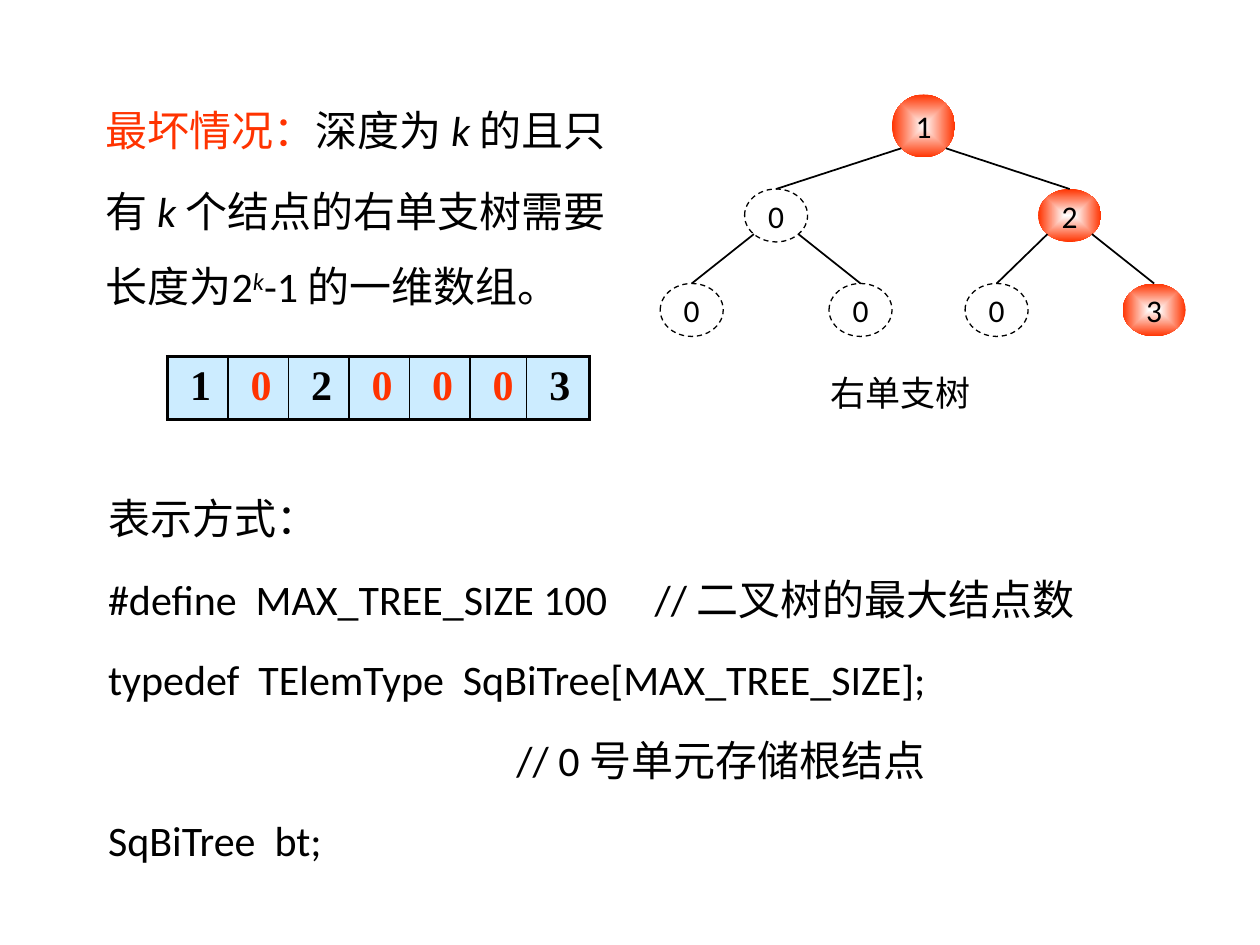
from dataclasses import dataclass
from math import sqrt

from lxml.etree import SubElement
from pptx import Presentation
from pptx.dml.color import RGBColor
from pptx.enum.dml import MSO_LINE
from pptx.enum.shapes import MSO_CONNECTOR, MSO_SHAPE
from pptx.enum.text import MSO_ANCHOR, MSO_AUTO_SIZE, PP_ALIGN
from pptx.oxml.ns import qn
from pptx.util import Pt

PX = 9144  # 100 px to the inch


@dataclass(frozen=True)
class Theme:
    black: str = "000000"
    white: str = "FFFFFF"
    red: str = "FF3300"
    pale_blue: str = "CCECFF"
    body_font: str = "Calibri"
    array_font: str = "Times New Roman"
    body_size: int = 24
    caption_size: int = 20
    node_size: int = 18
    line: float = 1
    dash: float = 0.75
    frame: float = 2.25


class SlideBuilder:
    def __init__(self, slide, theme):
        self.slide = slide
        self.shapes = slide.shapes
        self.theme = theme

    def run(self, paragraph, text, size, color=None, font=None, bold=None,
            italic=None, superscript=False):
        """Add text to a paragraph, turning each newline into a line break."""
        for index, line in enumerate(text.split("\n")):
            if index:
                paragraph.add_line_break()
            run = paragraph.add_run()
            run.text = line
            run.font.name = font or self.theme.body_font
            run.font.size = Pt(size)
            run.font.bold = bold
            run.font.italic = italic
            run.font.color.rgb = RGBColor.from_string(color or self.theme.black)
            if superscript:
                run.font._element.set("baseline", "30000")

    def text(self, box, paragraphs, size, wrap=False):
        """Add a text box; each paragraph is (line spacing, [(text, format)])."""
        frame = self.shapes.add_textbox(*(n * PX for n in box)).text_frame
        frame.word_wrap = wrap
        frame.auto_size = MSO_AUTO_SIZE.SHAPE_TO_FIT_TEXT
        for index, (spacing, runs) in enumerate(paragraphs):
            paragraph = frame.add_paragraph() if index else frame.paragraphs[0]
            paragraph.line_spacing = spacing
            for content, style in runs:
                self.run(paragraph, content, size, **style)

    def node(self, label, left, top, height, filled):
        """Add a tree node: red when it holds data, dashed when it is empty."""
        oval = self.shapes.add_shape(
            MSO_SHAPE.OVAL, left * PX, top * PX, 50 * PX, height * PX)
        oval.shadow.inherit = False
        if filled:
            self.radial_fill(oval.fill)
            oval.line.fill.background()
        else:
            oval.fill.background()
            oval.line.color.rgb = RGBColor.from_string(self.theme.black)
            oval.line.width = Pt(self.theme.dash)
            oval.line.dash_style = MSO_LINE.DASH
        frame = oval.text_frame
        frame.word_wrap = False
        frame.vertical_anchor = MSO_ANCHOR.MIDDLE
        frame.paragraphs[0].alignment = PP_ALIGN.CENTER
        self.run(frame.paragraphs[0], label, self.theme.node_size)
        return oval

    def radial_fill(self, fill):
        """White centre shading to a red rim."""
        fill.gradient()
        for stop, color in zip(fill.gradient_stops, (self.theme.white, self.theme.red)):
            stop.color.rgb = RGBColor.from_string(color)
        gradient = fill._fill._gradFill
        linear = gradient.find(qn("a:lin"))
        shading = SubElement(gradient, qn("a:path"), {"path": "shape"})
        SubElement(shading, qn("a:fillToRect"), dict.fromkeys("ltrb", "50000"))
        gradient.replace(linear, shading)

    def branch(self, parent, child):
        """Join the lower diagonal point of a parent to the top of its child."""
        side = 1 if child.left > parent.left else -1
        x = parent.left + parent.width / 2 * (1 + side / sqrt(2))
        y = parent.top + parent.height / 2 * (1 + 1 / sqrt(2))
        edge = self.shapes.add_connector(
            MSO_CONNECTOR.STRAIGHT, int(x), int(y), child.left + child.width // 2, child.top)
        edge.end_connect(child, 0)
        edge.line.color.rgb = RGBColor.from_string(self.theme.black)
        edge.line.width = Pt(self.theme.line)
        SubElement(edge._element.spPr, qn("a:effectLst"))

    def array(self, left, top, height, widths, values):
        """Add a one-row table with a heavy frame; zeros are red."""
        table = self.shapes.add_table(
            1, len(values), left * PX, top * PX, sum(widths) * PX, height * PX).table
        table.first_row = table.horz_banding = False
        table.rows[0].height = height * PX
        last = len(values) - 1
        for index, (width, value) in enumerate(zip(widths, values)):
            table.columns[index].width = width * PX
            cell = table.cell(0, index)
            cell.margin_left, cell.margin_right = 18 * PX, 5 * PX
            color = self.theme.red if value == "0" else self.theme.black
            self.run(cell.text_frame.paragraphs[0], value, self.theme.body_size,
                     color, self.theme.array_font, bold=True)
            frame, inner = self.theme.frame, self.theme.line
            self.borders(cell, {"L": inner if index else frame,
                                "R": inner if index < last else frame,
                                "T": frame, "B": frame})
            cell.fill.solid()
            cell.fill.fore_color.rgb = RGBColor.from_string(self.theme.pale_blue)

    def borders(self, cell, weights):
        properties = cell._tc.get_or_add_tcPr()
        for side, weight in weights.items():
            line = SubElement(properties, qn(f"a:ln{side}"), {"w": str(int(Pt(weight)))})
            solid = SubElement(line, qn("a:solidFill"))
            SubElement(solid, qn("a:srgbClr"), {"val": self.theme.black})


def main():
    presentation = Presentation()
    presentation.slide_width, presentation.slide_height = 1000 * PX, 750 * PX
    theme = Theme()
    slide = presentation.slides.add_slide(presentation.slide_layouts[6])
    builder = SlideBuilder(slide, theme)

    italic = {"italic": True}
    worst_case = [
        (1.5, [("最坏情况：", {"color": theme.red}), ("深度为 ", {}),
               ("k ", italic), ("的且只", {})]),
        (1.6, [("有 ", {}), ("k ", italic), ("个结点的右单支树需要", {})]),
        (1.5, [("长度为2", {}), ("k", {"italic": True, "superscript": True}),
               ("-1 的一维数组。", {})]),
    ]
    builder.text((74, 58, 451, 194), worst_case, theme.body_size, wrap=True)

    builder.array(133, 283, 50, [48] * 5 + [45, 50], "1020003")

    declarations = [
        (1.6, [("表示方式：\n"
                "#define  MAX_TREE_SIZE 100     // 二叉树的最大结点数\n"
                "typedef  TElemType  SqBiTree[MAX_TREE_SIZE];", {})]),
        (1.6, [("                                           // 0 号单元存储根结点\n"
                "SqBiTree  bt;", {})]),
    ]
    builder.text((76, 362, 810, 326), declarations, theme.body_size)

    # Level order: the children of node i are nodes 2i + 1 and 2i + 2.
    levels = [(75, 50, [("1", 708)]),
              (150, 42, [("0", 591), ("2", 824)]),
              (225, 42, [("0", 524), ("0", 658), ("0", 766), ("3", 891)])]
    nodes = [builder.node(label, left, top, height, label != "0")
             for top, height, row in levels for label, left in row]
    for index, child in enumerate(nodes[1:], start=1):
        builder.branch(nodes[(index - 1) // 2], child)
    builder.text((649, 290, 139, 43), [(1.0, [("右单支树", {})])], theme.caption_size)

    presentation.save("out.pptx")


if __name__ == "__main__":
    main()
